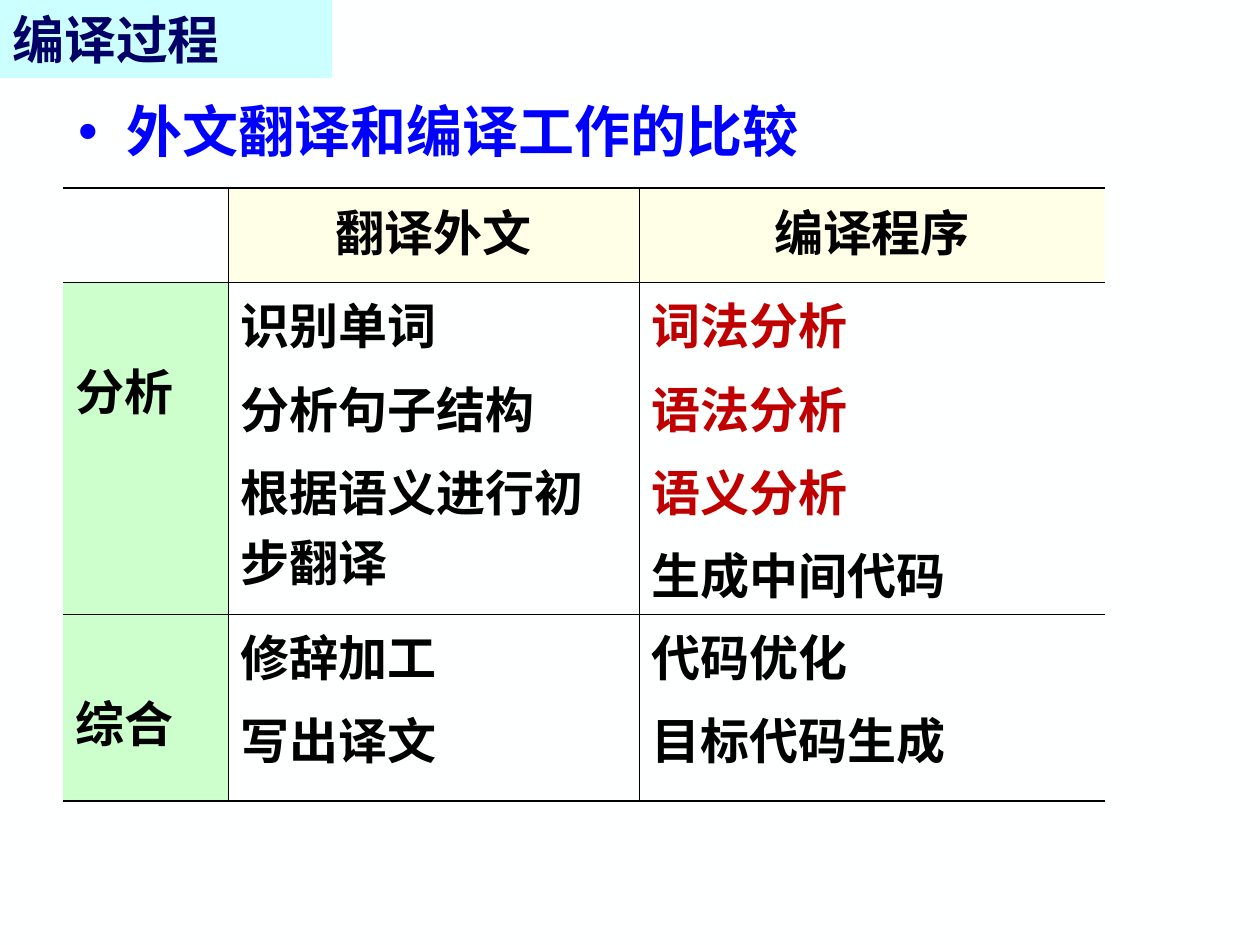
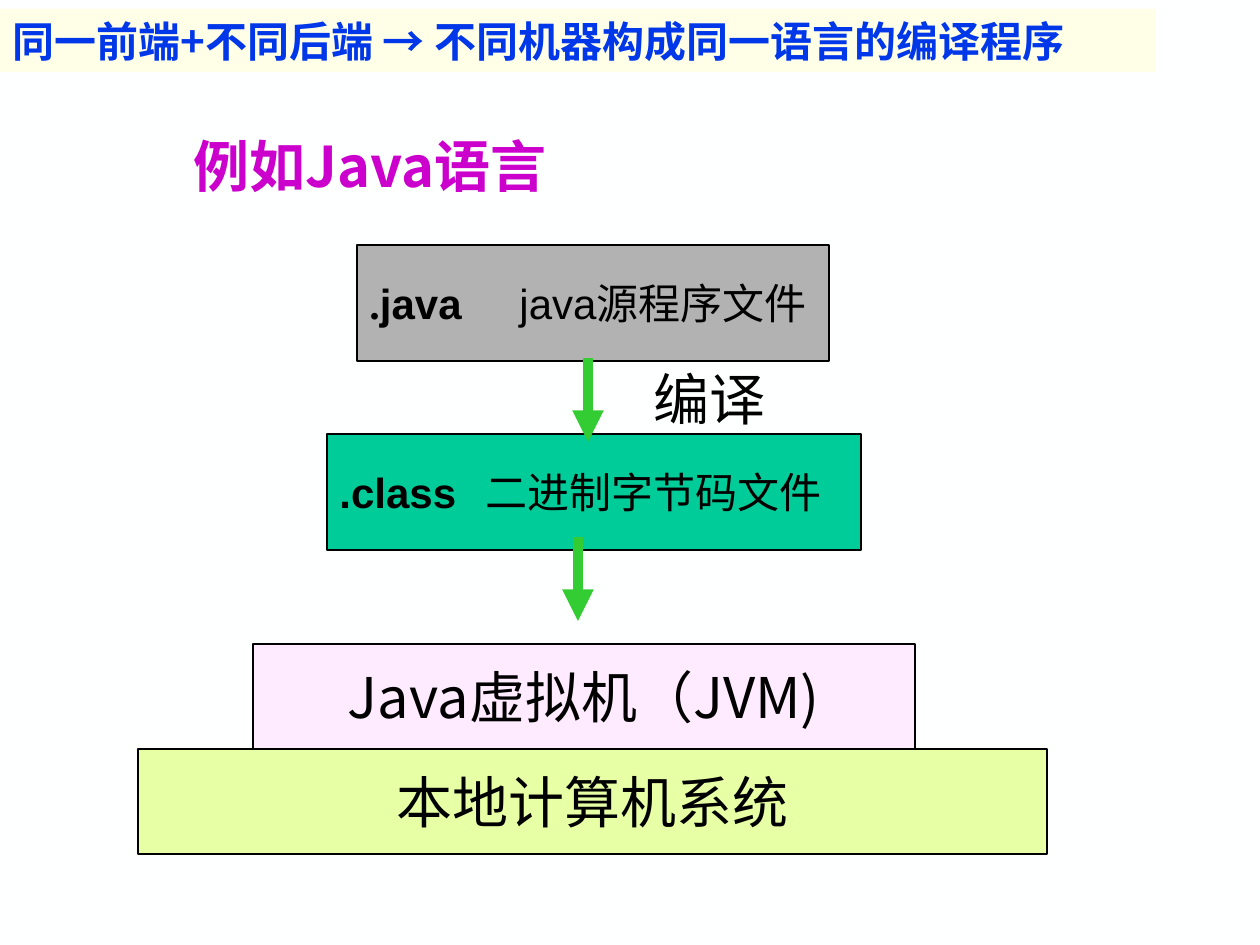
"""Build two slides on how compiling compares with translating, and on Java."""
from lxml.etree import SubElement
from pptx import Presentation
from pptx.dml.color import RGBColor
from pptx.enum.shapes import MSO_CONNECTOR, MSO_SHAPE
from pptx.enum.text import MSO_ANCHOR, PP_ALIGN
from pptx.oxml.ns import qn
from pptx.util import Emu, Pt

PX = 914400 // 126
SANS, ARIAL, TIMES = "Noto Sans CJK SC", "Arial", "Times New Roman"

BLACK = RGBColor(0x00, 0x00, 0x00)
PAPER = RGBColor(0xFE, 0xFF, 0xFF)
AQUA = RGBColor(0xCC, 0xFF, 0xFF)
NAVY = RGBColor(0x00, 0x00, 0x66)
BLUE = RGBColor(0x00, 0x00, 0xFF)
COBALT = RGBColor(0x00, 0x37, 0xE8)
CREAM = RGBColor(0xFF, 0xFF, 0xE7)
MINT = RGBColor(0xCC, 0xFF, 0xCC)
RED = RGBColor(0xC0, 0x00, 0x00)
PURPLE = RGBColor(0xCC, 0x00, 0xCC)
GRAY = RGBColor(0xB2, 0xB2, 0xB2)
TEAL = RGBColor(0x00, 0xCC, 0x99)
PINK = RGBColor(0xFF, 0xEB, 0xFF)
LIME = RGBColor(0xE7, 0xFF, 0xA5)
GREEN = RGBColor(0x33, 0xCC, 0x33)

TITLE = [("编译过程", TIMES, True)]
TOPIC = [("外文翻译和编译工作的比较", SANS, True)]
ROWS = [
    ([], ["翻译外文"], ["编译程序"]),
    (["分析"],
     ["识别单词", "分析句子结构", "根据语义进行初步翻译"],
     ["词法分析", "语法分析", "语义分析", "生成中间代码"]),
    (["综合"], ["修辞加工", "写出译文"], ["代码优化", "目标代码生成"]),
]
KEYS = {"词法分析", "语法分析", "语义分析"}
WIDTHS, HEIGHTS = (165, 411, 466), (94, 332, 187)
ACROSS, DOWN = (1.08, 0.45, 0.45, 1.08), (0, 0.45, 0.45, 0)

HEAD = [("同一前端+不同后端 ", SANS, True), ("→", ARIAL, True),
        (" 不同机器构成同一语言的编译程序", SANS, True)]
CASE = [("例如Java语言", SANS, True)]
STEP = [("编译", TIMES, False)]
FILES = [
    ((357, 245, 472, 116), GRAY, 150,
     [(".", TIMES, True), ("java\t", ARIAL, True), ("java", ARIAL, False),
      ("源程序文件", SANS, False)]),
    ((327, 434, 534, 116), TEAL, 146,
     [(".class\t", ARIAL, True), ("二进制字节码文件", SANS, False)]),
]
LAYERS = [
    ((253, 644, 662, 105), PINK, [("Java虚拟机（JVM)", SANS, False)]),
    ((138, 749, 909, 105), LIME, [("本地计算机系统", TIMES, False)]),
]
ARROWS = [(588, 358), (578, 537)]
REACH = 84


def px(*nums):
    return [Emu(num * PX) for num in nums]


def style(run, face, size, ink, bold):
    font = run.font
    font.name, font.size, font.bold = face, Pt(size), bold
    font.color.rgb = ink
    SubElement(run._r.rPr, qn("a:ea"), typeface=SANS)


def write(shape, runs, size, ink, align=PP_ALIGN.LEFT, wrap=True):
    frame = shape.text_frame
    frame.word_wrap = wrap
    frame.vertical_anchor = MSO_ANCHOR.MIDDLE
    para = frame.paragraphs[0]
    para.alignment = align
    for text, face, bold in runs:
        run = para.add_run()
        run.text = text
        style(run, face, size, ink, bold)
    return frame


def label(slide, at, *args, **opts):
    return write(slide.shapes.add_textbox(*px(*at)), *args, **opts)


def block(slide, at, fill, edge=None):
    shape = slide.shapes.add_shape(MSO_SHAPE.RECTANGLE, *px(*at))
    shape.shadow.inherit = False
    shape.fill.solid()
    shape.fill.fore_color.rgb = fill
    if edge is None:
        shape.line.fill.background()
    else:
        shape.line.color.rgb = edge
        shape.line.width = Pt(0.75)
    return shape


def bullet(para, ink, indent):
    props = para._p.get_or_add_pPr()
    props.set("marL", str(indent * PX))
    props.set("indent", str(-indent * PX))
    tint = SubElement(props, qn("a:buClr"))
    SubElement(tint, qn("a:srgbClr"), val=str(ink))
    SubElement(props, qn("a:buFont"), typeface=ARIAL)
    SubElement(props, qn("a:buChar"), char="•")


def tab(para, pos):
    stops = SubElement(para._p.get_or_add_pPr(), qn("a:tabLst"))
    SubElement(stops, qn("a:tab"), pos=str(pos * PX), algn="l")


def rule(cell, row, col):
    props = cell._tc.get_or_add_tcPr()
    sides = {"L": DOWN[col], "R": DOWN[col + 1],
             "T": ACROSS[row], "B": ACROSS[row + 1]}
    for side, width in sides.items():
        line = SubElement(props, qn(f"a:ln{side}"), w=str(int(Pt(width))))
        if width:
            fill = SubElement(line, qn("a:solidFill"))
            SubElement(fill, qn("a:srgbClr"), val=str(BLACK))
        else:
            SubElement(line, qn("a:noFill"))


def fill_cell(cell, row, col, lines):
    rule(cell, row, col)
    if lines and 0 in (row, col):
        cell.fill.solid()
        cell.fill.fore_color.rgb = MINT if col == 0 else CREAM
    else:
        cell.fill.background()
    if row and col == 0:
        cell.margin_top = Emu(72 * PX)
    cell.text_frame.text = "\n".join(lines)
    for num, para in enumerate(cell.text_frame.paragraphs):
        if num:
            para.space_before = Pt(7)
        para.alignment = PP_ALIGN.LEFT if row else PP_ALIGN.CENTER
        for run in para.runs:
            style(run, SANS, 28, RED if run.text in KEYS else BLACK, True)


def grid(slide):
    at = px(63, 188, sum(WIDTHS), sum(HEIGHTS))
    table = slide.shapes.add_table(len(ROWS), len(WIDTHS), *at).table
    table.first_row = table.horz_banding = False
    for col, width in zip(table.columns, px(*WIDTHS)):
        col.width = width
    for row, height in zip(table.rows, px(*HEIGHTS)):
        row.height = height
    for row, cells in enumerate(ROWS):
        for col, lines in enumerate(cells):
            fill_cell(table.cell(row, col), row, col, lines)


def arrow(slide, x, y):
    line = slide.shapes.add_connector(
        MSO_CONNECTOR.STRAIGHT, *px(x, y, x, y + REACH))
    line.line.color.rgb = GREEN
    line.line.width = Pt(6)
    SubElement(line.line._get_or_add_ln(), qn("a:tailEnd"), type="triangle")
    SubElement(line._element.spPr, qn("a:effectLst"))


def page(deck):
    slide = deck.slides.add_slide(deck.slide_layouts[6])
    slide.background.fill.solid()
    slide.background.fill.fore_color.rgb = PAPER
    return slide


def compare(deck):
    slide = page(deck)
    para = label(slide, (66, 92, 1100, 84), TOPIC, 32, BLUE).paragraphs[0]
    bullet(para, BLUE, 48)
    para.line_spacing = 0.9
    grid(slide)
    write(block(slide, (0, 0, 332, 78), AQUA), TITLE, 29.6, NAVY)


def java(deck):
    slide = page(deck)
    for at, fill, stop, runs in FILES:
        frame = write(block(slide, at, fill, BLACK), runs, 24, BLACK)
        frame.margin_right = 0
        tab(frame.paragraphs[0], stop)
    for at, fill, runs in LAYERS:
        write(block(slide, at, fill, BLACK), runs, 32, BLACK, PP_ALIGN.CENTER)
    for x, y in ARROWS:
        arrow(slide, x, y)
    label(slide, (641, 358, 137, 81), STEP, 32, BLACK, wrap=False)
    write(block(slide, (0, 9, 1155, 63), CREAM), HEAD, 24, COBALT)
    label(slide, (181, 122, 440, 86), CASE, 32, PURPLE)


def main():
    deck = Presentation()
    deck.slide_width, deck.slide_height = px(1260, 945)
    compare(deck)
    java(deck)
    deck.save("out.pptx")


if __name__ == "__main__":
    main()
